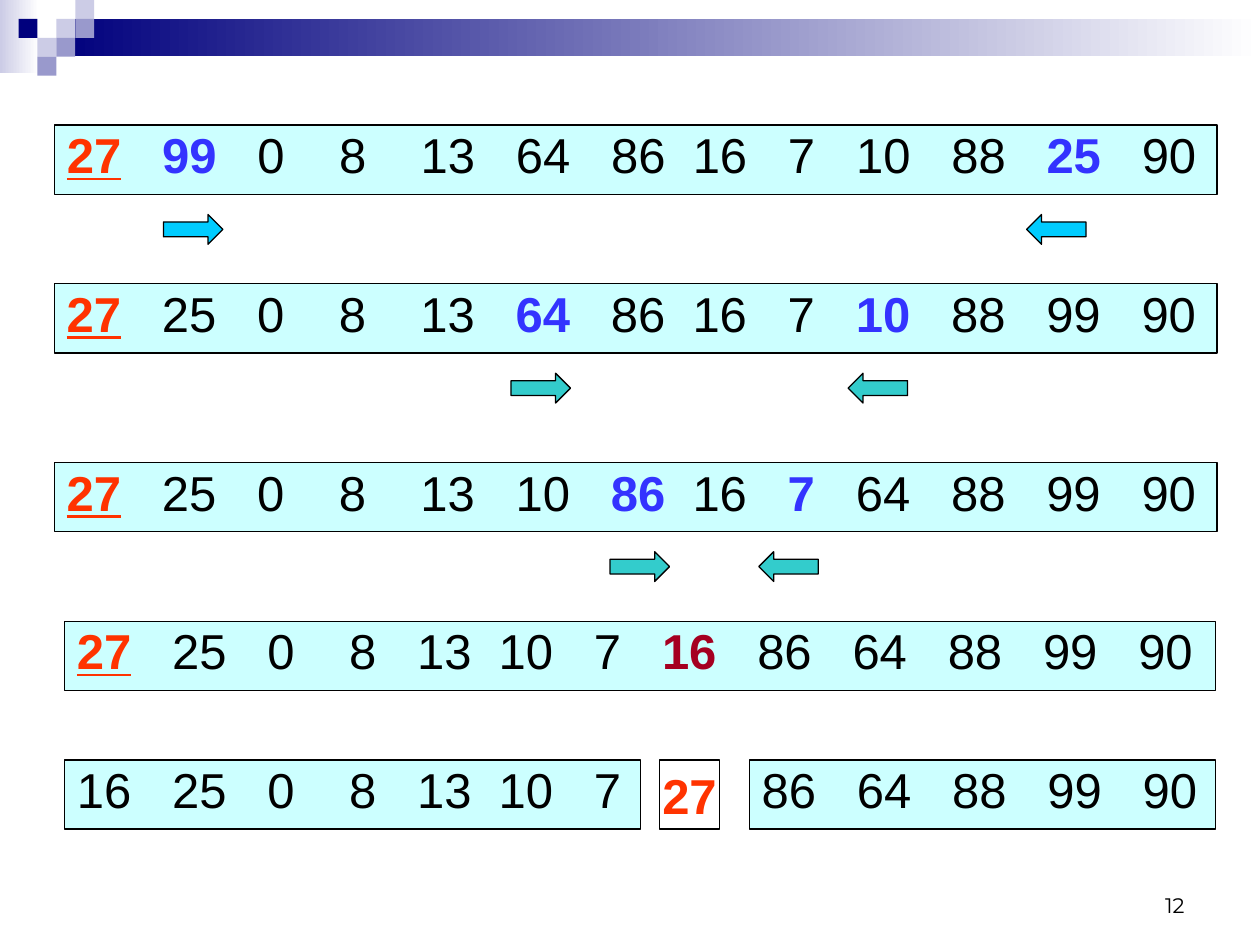
from pptx import Presentation
from pptx.dml.color import RGBColor as RGB
from pptx.enum.shapes import MSO_SHAPE as Kind
from pptx.enum.text import MSO_ANCHOR as Anchor, PP_ALIGN as Align
from pptx.oxml.ns import qn
from pptx.util import Pt
from lxml.etree import SubElement as Sub

NAVY = RGB(0x00, 0x00, 0x7D)
MID = RGB(0x99, 0x99, 0xCC)
PALE = RGB(0xCC, 0xCC, 0xE6)
WHITE = RGB(0xFF, 0xFF, 0xFF)
BLACK = RGB(0x00, 0x00, 0x00)
ICE = RGB(0xCC, 0xFF, 0xFF)
RED = RGB(0xFF, 0x33, 0x00)
BLUE = RGB(0x33, 0x33, 0xFF)
WINE = RGB(0xA5, 0x00, 0x21)
SKY = RGB(0x00, 0xCC, 0xFF)
TEAL = RGB(0x33, 0xCC, 0xCC)
SPACE = 7.78

deck = Presentation()
deck.slide_width, deck.slide_height = Pt(720), Pt(540)
slide = deck.slides.add_slide(deck.slide_layouts[1])
title = slide.shapes.title
title.element.getparent().remove(title.element)
body = slide.placeholders[1]


def add(kind, left, top, width, height, fill=None, line=None):
    shape = slide.shapes.add_shape(kind, Pt(left), Pt(top), Pt(width), Pt(height))
    shape.shadow.inherit = False
    if fill is not None:
        shape.fill.solid()
        shape.fill.fore_color.rgb = fill
    if line is None:
        shape.line.fill.background()
    else:
        shape.line.color.rgb = line
        shape.line.width = Pt(0.75)
    return shape


def style(run, size, color, name="Arial", bold=False):
    run.font.size = Pt(size)
    run.font.name = name
    run.font.bold = bold
    run.font.color.rgb = color


bands = [(0, 0, 22.3, 41.8, PALE), (32.4, 10.8, 687.6, 21.4, NAVY)]
for left, top, width, height, color in bands:
    band = add(Kind.RECTANGLE, left, top, width, height)
    band.fill.gradient()
    band.fill.gradient_angle = 0
    for stop, tint in zip(band.fill.gradient_stops, (color, WHITE)):
        stop.color.rgb = tint

STEP = 10.8
tiles = [(3, 1, PALE), (4, 0, PALE), (4, 1, MID), (2, 2, PALE),
         (1, 1, NAVY), (3, 2, MID), (2, 3, MID)]
for col, row, color in tiles:
    add(Kind.RECTANGLE, col * STEP - 0.2, row * STEP, STEP, STEP, color)

LONG, SHORT = "334433233333", "334323333333"
rows = [
    (31, 71.5, 664.5, "27 99 0 8 13 64 86 16 7 10 88 25 90", LONG,
     {0: RED, 1: BLUE, 11: BLUE}),
    (31, 162.2, 664.5, "27 25 0 8 13 64 86 16 7 10 88 99 90", LONG,
     {0: RED, 5: BLUE, 9: BLUE}),
    (31, 264.3, 664.5, "27 25 0 8 13 10 86 16 7 64 88 99 90", LONG,
     {0: RED, 6: BLUE, 8: BLUE}),
    (36.9, 355, 657.7, "27 25 0 8 13 10 7 16 86 64 88 99 90", SHORT,
     {0: RED, 7: WINE}),
    (36.9, 434.2, 329, "16 25 0 8 13 10 7", SHORT, {}),
    (428.2, 434.2, 266.4, "86 64 88 99 90", SHORT[-4:], {}),
]
for left, top, width, text, gaps, marks in rows:
    if body is not None:
        box, body = body, None
        box.left, box.top, box.width, box.height = Pt(left), Pt(top), Pt(width), Pt(39.6)
        box.fill.solid()
        box.fill.fore_color.rgb = ICE
        box.line.color.rgb = BLACK
        box.line.width = Pt(0.75)
    else:
        box = add(Kind.RECTANGLE, left, top, width, 39.6, ICE, BLACK)
    frame = box.text_frame
    frame.word_wrap = True
    frame.vertical_anchor = Anchor.TOP
    para = frame.paragraphs[0]
    props = para._p.get_or_add_pPr()
    props.set("marL", "0")
    props.set("indent", "0")
    Sub(props, qn("a:buNone"))
    para.alignment = Align.LEFT
    para.line_spacing = 0.9
    para.space_before = Pt(0)
    for i, word in enumerate(text.split()):
        if i:
            gap = para.add_run()
            gap.text = " "
            style(gap, 28, BLACK)
            extra = (int(gaps[i - 1]) - 1) * SPACE
            gap._r.get_or_add_rPr().set("spc", str(round(extra * 100)))
        run = para.add_run()
        run.text = word
        style(run, 28, marks.get(i, BLACK), bold=i in marks)
        run.font.underline = marks.get(i) == RED

pivot = add(Kind.RECTANGLE, 377, 434.2, 34, 39.6, WHITE, BLACK)
frame = pivot.text_frame
frame.text = "27"
frame.word_wrap = False
frame.vertical_anchor = Anchor.MIDDLE
frame.paragraphs[0].alignment = Align.CENTER
style(frame.paragraphs[0].runs[0], 28, RED, bold=True)

pairs = [(93.4, 586.6, 122.6, SKY), (292, 484.6, 213.3, TEAL), (348.6, 433.6, 315.3, TEAL)]
for low, high, top, color in pairs:
    add(Kind.RIGHT_ARROW, low, top, 34, 17, color, BLACK)
    add(Kind.LEFT_ARROW, high, top, 34, 17, color, BLACK)

page = slide.shapes.add_textbox(Pt(516), Pt(492), Pt(168), Pt(36))
frame = page.text_frame
frame.text = "12"
frame.word_wrap = True
frame.vertical_anchor = Anchor.BOTTOM
frame.paragraphs[0].alignment = Align.RIGHT
style(frame.paragraphs[0].runs[0], 12, BLACK, "Montserrat")

deck.save("out.pptx")
